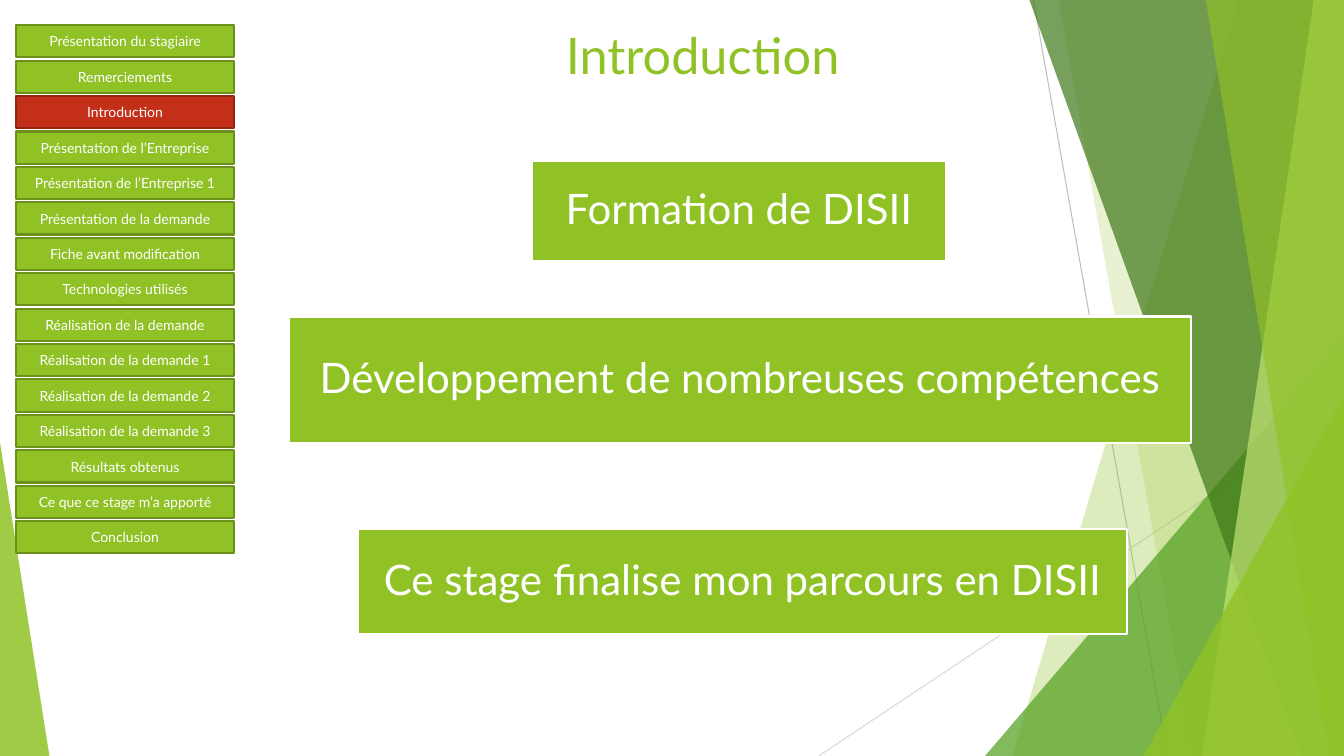
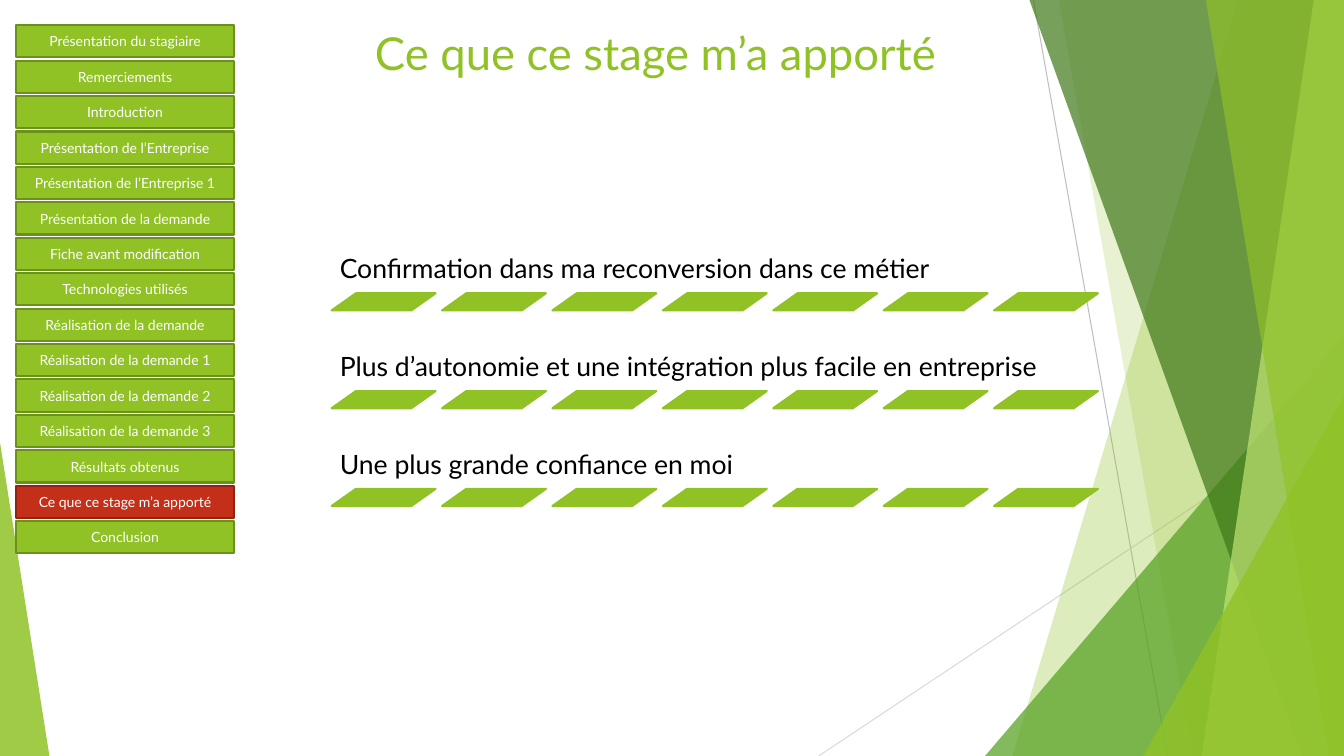
from lxml import etree
from pptx import Presentation
from pptx.dml.color import RGBColor
from pptx.enum.shapes import MSO_CONNECTOR, MSO_SHAPE
from pptx.enum.text import MSO_ANCHOR, PP_ALIGN
from pptx.oxml.ns import qn
from pptx.util import Inches, Pt

RECT, TRIANGLE, SLANT = MSO_SHAPE.RECTANGLE, MSO_SHAPE.ISOSCELES_TRIANGLE, MSO_SHAPE.PARALLELOGRAM
STRAIGHT = MSO_CONNECTOR.STRAIGHT
LEFT, CENTER = PP_ALIGN.LEFT, PP_ALIGN.CENTER
TOP, MIDDLE, BOTTOM = MSO_ANCHOR.TOP, MSO_ANCHOR.MIDDLE, MSO_ANCHOR.BOTTOM

WIDTH, HEIGHT = 13.33, 7.5


class Theme:
    font = "Lato"
    lime, lime_edge, pale_lime = "90C226", "6B901C", "C0E474"
    green, dark_green = "54A021", "3F7819"
    red, red_edge = "C42F1A", "912313"
    white, black = "FFFFFF", "000000"
    gray, light_gray = "BFBFBF", "D9D9D9"
    nav_size, point_size, card_size = 10, 19, 30
    border, hairline = 1.5, 0.75


# Content
SECTIONS = [
    "Présentation du stagiaire",
    "Remerciements",
    "Introduction",
    "Présentation de l’Entreprise",
    "Présentation de l’Entreprise 1",
    "Présentation de la demande",
    "Fiche avant modification",
    "Technologies utilisés",
    "Réalisation de la demande",
    "Réalisation de la demande 1",
    "Réalisation de la demande 2",
    "Réalisation de la demande 3",
    "Résultats obtenus",
    "Ce que ce stage m’a apporté",
    "Conclusion",
]
CARDS = [  # text, (left, top, width, height)
    ("Formation de DISII", (5.28, 1.6, 4.1, 0.99)),
    ("Développement de nombreuses compétences", (2.87, 3.14, 8.94, 1.26)),
    ("Ce stage finalise mon parcours en DISII", (3.55, 5.25, 7.63, 1.04)),
]
POINTS = [
    "Confirmation dans ma reconversion dans ce métier",
    "Plus d’autonomie et une intégration plus facile en entreprise",
    "Une plus grande confiance en moi",
]

# Backdrop: lines, then facets from back to front
RAYS = [
    ((10.25, 0), (11.58, HEIGHT), Theme.gray),
    ((WIDTH, 4.03), (8.12, HEIGHT), Theme.light_gray),
]
FACETS = [  # bands: top and bottom x of the slanted edge; triangles: box and apex
    ("band", (12.28, 10.04), Theme.lime, 30),
    ("band", (10.5, 11.83), Theme.lime, 20),
    ("triangle", ((9.77, 3.33, 3.56, 4.17), 1), Theme.green, 72),
    ("band", (10.21, 12.91), Theme.dark_green, 70),
    ("band", (13.03, 11.92), Theme.pale_lime, 70),
    ("band", (11.96, 13.18), Theme.lime, 65),
    ("triangle", ((11.34, 3.93, 1.99, 3.57), 1), Theme.lime, 80),
    ("triangle", ((0, 4.39, 0.49, 3.11), 0), Theme.lime, 85),
]


# Helpers
def rgb(color):
    return RGBColor.from_string(color)


def paint(sp, fill, line=None, opacity=100):
    sp.shadow.inherit = False
    sp.fill.solid()
    sp.fill.fore_color.rgb = rgb(fill)
    if opacity < 100:
        color = sp.element.spPr.find(qn("a:solidFill")).find(qn("a:srgbClr"))
        etree.SubElement(color, qn("a:alpha"), val=str(opacity * 1000))
    if line:
        sp.line.color.rgb = rgb(line)
        sp.line.width = Pt(Theme.border)
    else:
        sp.line.fill.background()


def add_shape(s, kind, box, fill, line=None, opacity=100, adj=None):
    sp = s.shapes.add_shape(kind, *map(Inches, box))
    if adj is not None:
        sp.adjustments[0] = adj
    paint(sp, fill, line, opacity)
    return sp


def write(sp, text, size, color=Theme.white, align=CENTER, anchor=MIDDLE,
          inset=None, spacing=None):
    tf = sp.text_frame
    tf.word_wrap = True
    tf.vertical_anchor = anchor
    if inset is not None:
        tf.margin_left = tf.margin_right = tf.margin_top = tf.margin_bottom = Inches(inset)
    p = tf.paragraphs[0]
    p.alignment = align
    if spacing:
        p.line_spacing = spacing
    r = p.add_run()
    r.text = text
    r.font.name, r.font.size, r.font.color.rgb = Theme.font, Pt(size), rgb(color)


def add_text(s, box, text, size, **style):
    write(s.shapes.add_textbox(*map(Inches, box)), text, size, **style)


# Shared parts
def add_backdrop(s):
    for start, end, color in RAYS:
        ray = s.shapes.add_connector(STRAIGHT, *map(Inches, start + end))
        ray.line.color.rgb = rgb(color)
        ray.line.width = Pt(Theme.hairline)
        etree.SubElement(ray.element.spPr, qn("a:effectLst"))
    for kind, geometry, color, opacity in FACETS:
        if kind == "triangle":
            box, apex = geometry
            add_shape(s, TRIANGLE, box, color, opacity=opacity, adj=apex)
            continue
        top_x, bottom_x = map(Inches, geometry)
        right, bottom = Inches(WIDTH), Inches(HEIGHT)
        outline = s.shapes.build_freeform(top_x, 0)
        outline.add_line_segments([(right, 0), (right, bottom), (bottom_x, bottom)])
        paint(outline.convert_to_shape(), color, opacity=opacity)


def add_navigation(s, current):
    first, last = 0.25, 5.17
    pitch = (last - first) / (len(SECTIONS) - 1)
    for i, section in enumerate(SECTIONS):
        active = section == current
        fill, edge = (Theme.red, Theme.red_edge) if active else (Theme.lime, Theme.lime_edge)
        sp = add_shape(s, RECT, (0.16, first + i * pitch, 2.16, 0.32), fill, edge)
        write(sp, section, Theme.nav_size)


def add_page(prs, title, left, top, size):
    s = prs.slides.add_slide(prs.slide_layouts[6])
    add_backdrop(s)
    add_text(s, (left, top, 9.4, 1.44), title, size, color=Theme.lime, anchor=TOP)
    add_navigation(s, title)
    return s


# Slide bodies
def add_cards(s):
    for text, box in CARDS:
        sp = add_shape(s, RECT, box, Theme.lime, Theme.white)
        write(sp, text, Theme.card_size, inset=0.12, spacing=0.9)


def add_points(s):
    left, first, row_pitch = 3.29, 2.2, 0.97
    count, slant_pitch = 7, 1.095
    for row, text in enumerate(POINTS):
        top = first + row * row_pitch
        add_text(s, (left, top, 7.75, 0.7), text, Theme.point_size, color=Theme.black,
                 align=LEFT, anchor=BOTTOM, inset=0.08, spacing=0.9)
        for i in range(count):
            add_shape(s, SLANT, (left + i * slant_pitch, top + 0.71, 1.03, 0.17),
                      Theme.lime, Theme.lime, adj=1.41)


def main():
    prs = Presentation()
    prs.slide_width, prs.slide_height = Inches(WIDTH), Inches(HEIGHT)
    add_cards(add_page(prs, "Introduction", 2.27, 0.19, 36))
    add_points(add_page(prs, "Ce que ce stage m’a apporté", 1.8, 0.2, 32.4))
    prs.save("out.pptx")


if __name__ == "__main__":
    main()
